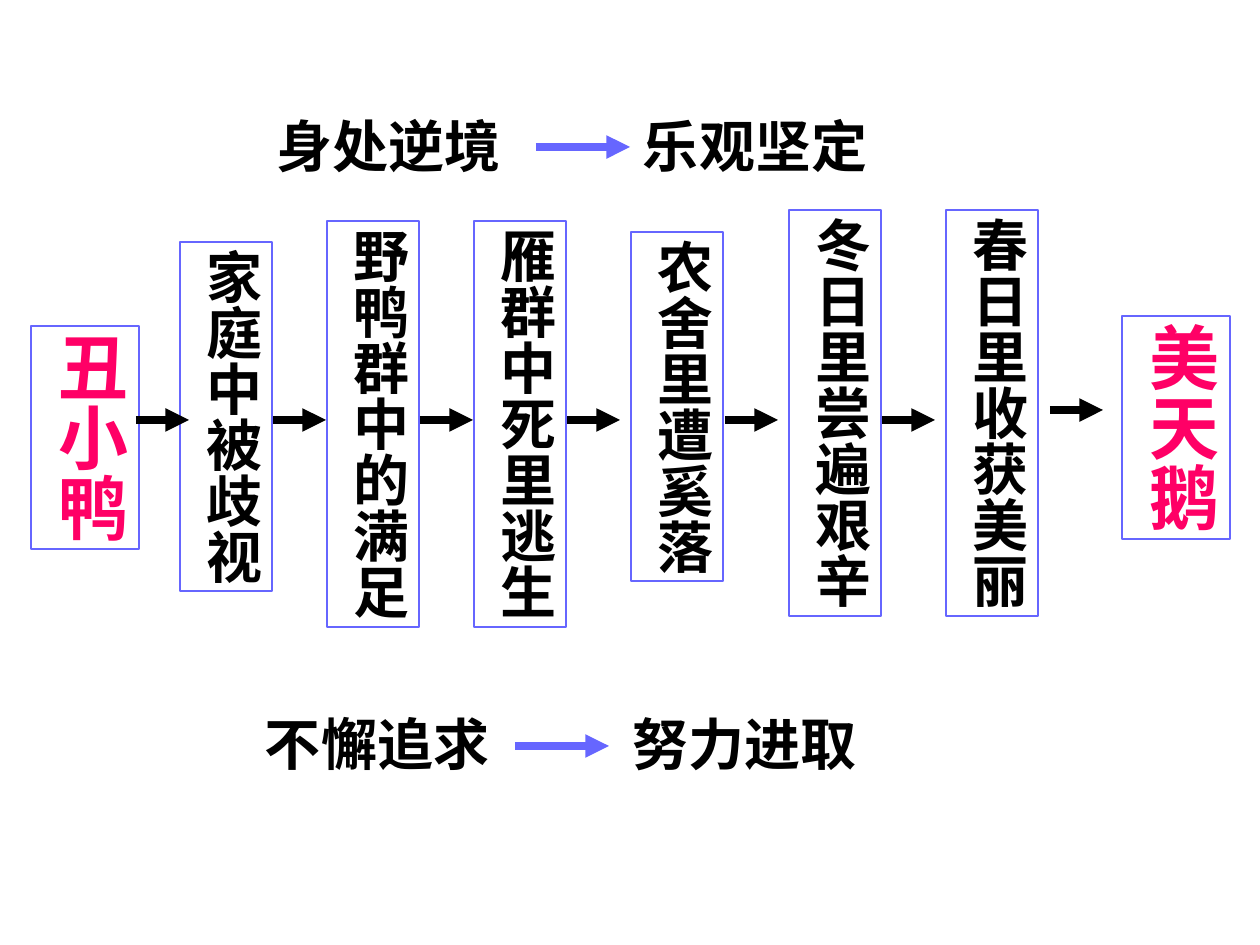
import typing

import lxml.etree
import pptx
import pptx.dml.color
import pptx.enum.shapes
import pptx.enum.text
import pptx.oxml.ns
import pptx.util

EMU_PER_PX = 914400 / 126
FONT = "Times New Roman"
COLORS = {"black": "000000", "blue": "6666FF", "pink": "FF0066"}


class Style(typing.NamedTuple):
    size: int
    color: str
    width: int
    pitch: int  # height taken by one character


class Stage(typing.NamedTuple):
    text: str
    left: int
    top: int
    style: Style


class Arrow(typing.NamedTuple):
    left: int
    y: int
    length: int
    color: str


class Trait(typing.NamedTuple):
    text: str
    left: int
    top: int


HERO = Style(40, "pink", 108, 72)
EVENT = Style(32, "black", 92, 57)
STAGE_PADDING = 7

STAGES = [
    Stage("丑小鸭", 31, 326, HERO),
    Stage("家庭中被歧视", 180, 242, EVENT),
    Stage("野鸭群中的满足", 327, 221, EVENT),
    Stage("雁群中死里逃生", 474, 221, EVENT),
    Stage("农舍里遭奚落", 631, 232, EVENT),
    Stage("冬日里尝遍艰辛", 789, 210, EVENT),
    Stage("春日里收获美丽", 946, 210, EVENT),
    Stage("美天鹅", 1122, 316, HERO),
]
ARROWS = [Arrow(left, 420, 53, "black") for left in (136, 273, 420, 567, 725, 882)]
ARROWS += [
    Arrow(1050, 410, 53, "black"),
    Arrow(536, 147, 94, "blue"),
    Arrow(515, 746, 94, "blue"),
]
TRAITS = [
    Trait("身处逆境", 263, 105),
    Trait("乐观坚定", 630, 105),
    Trait("不懈追求", 252, 703),
    Trait("努力进取", 620, 703),
]


def px(value: int) -> pptx.util.Emu:
    return pptx.util.Emu(round(value * EMU_PER_PX))


def rgb(name: str) -> pptx.dml.color.RGBColor:
    return pptx.dml.color.RGBColor.from_string(COLORS[name])


def write_text(shape, text: str, style: Style, inset_x: int, inset_y: int) -> None:
    frame = shape.text_frame
    frame_format = {
        "margin_left": px(inset_x), "margin_right": px(inset_x),
        "margin_top": px(inset_y), "margin_bottom": px(inset_y),
        "word_wrap": False,
        "auto_size": pptx.enum.text.MSO_AUTO_SIZE.SHAPE_TO_FIT_TEXT,
        "vertical_anchor": pptx.enum.text.MSO_ANCHOR.TOP,
    }
    for name, value in frame_format.items():
        setattr(frame, name, value)
    paragraph = frame.paragraphs[0]
    paragraph.alignment = pptx.enum.text.PP_ALIGN.LEFT
    run = paragraph.add_run()
    run.text = text
    font_format = {"name": FONT, "size": pptx.util.Pt(style.size), "bold": True}
    for name, value in font_format.items():
        setattr(run.font, name, value)
    run.font.color.rgb = rgb(style.color)


def draw_stage(slide, stage: Stage) -> None:
    height = STAGE_PADDING + len(stage.text) * stage.style.pitch
    shape = slide.shapes.add_shape(
        pptx.enum.shapes.MSO_SHAPE.RECTANGLE,
        px(stage.left), px(stage.top), px(stage.style.width), px(height))
    shape.shadow.inherit = False
    shape.fill.background()
    shape.line.color.rgb = rgb("blue")
    shape.line.width = pptx.util.Pt(0.75)
    write_text(shape, stage.text, stage.style, 6, 7)
    shape.element.txBody.bodyPr.set("vert", "eaVert")


def draw_arrow(slide, arrow: Arrow) -> None:
    connector = slide.shapes.add_connector(
        pptx.enum.shapes.MSO_CONNECTOR.STRAIGHT,
        px(arrow.left), px(arrow.y), px(arrow.left + arrow.length), px(arrow.y))
    connector.line.color.rgb = rgb(arrow.color)
    connector.line.width = pptx.util.Pt(4.5)
    qn = pptx.oxml.ns.qn
    properties = connector.element.spPr
    lxml.etree.SubElement(properties.find(qn("a:ln")), qn("a:tailEnd"), type="triangle")
    lxml.etree.SubElement(properties, qn("a:effectLst"))


def draw_trait(slide, trait: Trait) -> None:
    # Wide enough to keep four characters on one line
    shape = slide.shapes.add_textbox(px(trait.left), px(trait.top), px(256), px(81))
    write_text(shape, trait.text, EVENT, 13, 6)


def main() -> None:
    presentation = pptx.Presentation()
    presentation.slide_width = px(1260)
    presentation.slide_height = px(945)
    slide = presentation.slides.add_slide(presentation.slide_layouts[6])

    # Life stages, left to right
    for stage in STAGES:
        draw_stage(slide, stage)
    # Character traits above and below
    for trait in TRAITS:
        draw_trait(slide, trait)
    # Arrows between stages and between traits
    for arrow in ARROWS:
        draw_arrow(slide, arrow)

    presentation.save("out.pptx")


if __name__ == "__main__":
    main()
